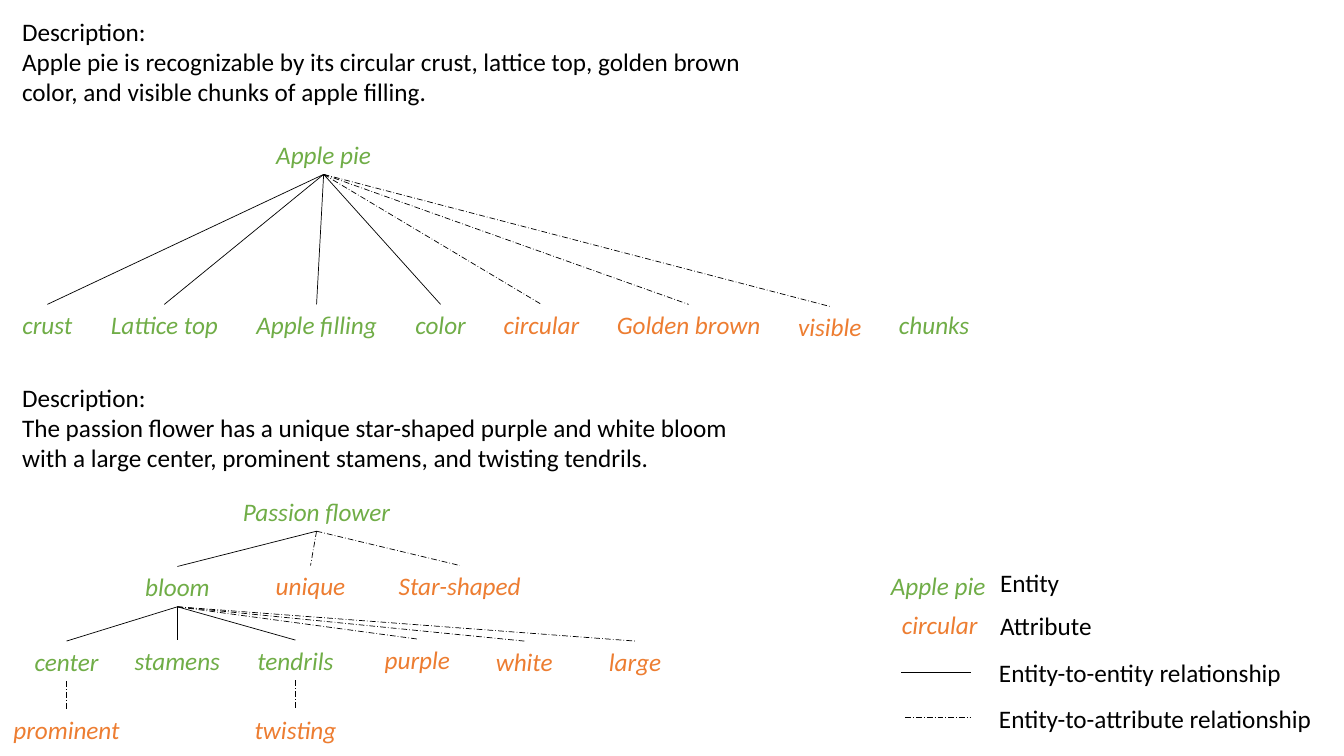
from dataclasses import dataclass

from lxml.etree import SubElement
from pptx import Presentation
from pptx.dml.color import RGBColor
from pptx.enum.dml import MSO_LINE
from pptx.enum.shapes import MSO_CONNECTOR
from pptx.enum.text import MSO_AUTO_SIZE, PP_ALIGN
from pptx.oxml.ns import qn
from pptx.util import Inches, Pt

SLIDE_WIDTH = Inches(13.33)
SLIDE_HEIGHT = Inches(7.5)
COLUMN = SLIDE_WIDTH / 133.3
ROW = SLIDE_HEIGHT / 75

FONT = "Calibri"
BLACK = "000000"
ENTITY = "70AD47"
ATTRIBUTE = "ED7D31"
LABEL_ROWS = 4


@dataclass
class Node:
    text: str
    color: str
    centre: float
    top: float
    width: float
    children: tuple = ()


APPLE_PIE = Node("Apple pie", ENTITY, 32.1, 13.3, 11.7, (
    Node("crust", ENTITY, 4.7, 30.2, 7),
    Node("Lattice top", ENTITY, 16.3, 30.2, 12.9),
    Node("Apple filling", ENTITY, 31.4, 30.2, 14.1),
    Node("color", ENTITY, 43.7, 30.2, 7.1),
    Node("circular", ATTRIBUTE, 53.7, 30.2, 9.6),
    Node("Golden brown", ATTRIBUTE, 68.3, 30.2, 16.4),
    Node("visible", ATTRIBUTE, 82.3, 30.4, 8.4),
))

PASSION_FLOWER = Node("Passion flower", ENTITY, 31.4, 48.7, 16.8, (
    Node("bloom", ENTITY, 17.6, 56.2, 8.5, (
        Node("center", ENTITY, 6.6, 63.6, 8.4, (
            Node("prominent", ATTRIBUTE, 6.6, 70.4, 12.7),
        )),
        Node("stamens", ENTITY, 17.6, 63.5, 10.6),
        Node("tendrils", ENTITY, 29.3, 63.5, 9.6, (
            Node("twisting", ATTRIBUTE, 29.3, 70.4, 10.2),
        )),
        Node("purple", ATTRIBUTE, 41.4, 63.4, 8.6),
        Node("white", ATTRIBUTE, 52, 63.6, 7.7),
        Node("large", ATTRIBUTE, 63, 63.6, 7.3),
    )),
    Node("unique", ATTRIBUTE, 30.8, 56.1, 9),
    Node("Star-shaped", ATTRIBUTE, 45.6, 56.1, 14.3),
))

LOOSE_LABELS = (
    Node("chunks", ENTITY, 92.65, 30.2, 9.1),
    Node("Apple pie", ENTITY, 93.05, 56.1, 11.7),
    Node("circular", ATTRIBUTE, 93.2, 60, 9.6),
)

LEGEND_TEXTS = (
    ("Entity", 98.2, 55.8, 8),
    ("Attribute", 98.2, 60.1, 11.3),
    ("Entity-to-entity relationship", 98.1, 64.7, 30.4),
    ("Entity-to-attribute relationship", 98.1, 69.3, 33.4),
)

DESCRIPTIONS = (
    (1.1, "Apple pie is recognizable by its circular crust, lattice top, "
          "golden brown color, and visible chunks of apple filling."),
    (37.4, "The passion flower has a unique star-shaped purple and white bloom "
           "with a large center, prominent stamens, and twisting tendrils."),
)


def across(columns):
    return round(columns * COLUMN)


def down(rows):
    return round(rows * ROW)


def rgb(color):
    return RGBColor.from_string(color)


def add_text(slide, text, left, top, width, height=LABEL_ROWS, color=BLACK,
             italic=False, align=PP_ALIGN.LEFT, wrap=False):
    box = slide.shapes.add_textbox(across(left), down(top), across(width), down(height))
    frame = box.text_frame
    frame.text = text
    frame.word_wrap = wrap
    frame.auto_size = MSO_AUTO_SIZE.SHAPE_TO_FIT_TEXT
    for paragraph in frame.paragraphs:
        paragraph.alignment = align
        font = paragraph.runs[0].font
        font.name = FONT
        font.size = Pt(18)
        font.italic = italic
        font.color.rgb = rgb(color)


def add_label(slide, node):
    add_text(slide, node.text, node.centre - node.width / 2, node.top, node.width,
             color=node.color, italic=True, align=PP_ALIGN.CENTER)


def add_relationship(slide, start, end, kind):
    line = slide.shapes.add_connector(
        MSO_CONNECTOR.STRAIGHT, across(start[0]), down(start[1]), across(end[0]), down(end[1]))
    line.line.color.rgb = rgb(BLACK)
    line.line.width = Pt(0.5)
    if kind == ATTRIBUTE:
        line.line.dash_style = MSO_LINE.LONG_DASH_DOT
    SubElement(line._element.spPr, qn("a:effectLst"))


def add_tree(slide, node):
    add_label(slide, node)
    for child in node.children:
        add_relationship(slide, (node.centre, node.top + LABEL_ROWS),
                         (child.centre, child.top), child.color)
        add_tree(slide, child)


def main():
    presentation = Presentation()
    presentation.slide_width = SLIDE_WIDTH
    presentation.slide_height = SLIDE_HEIGHT
    slide = presentation.slides.add_slide(presentation.slide_layouts[6])

    for top, sentence in DESCRIPTIONS:
        add_text(slide, f"Description:\n{sentence}", 1.2, top, 74.9, 10.1, wrap=True)
    for tree in (APPLE_PIE, PASSION_FLOWER):
        add_tree(slide, tree)
    for label in LOOSE_LABELS:
        add_label(slide, label)
    for text, left, top, width in LEGEND_TEXTS:
        add_text(slide, text, left, top, width)
    add_relationship(slide, (89.4, 66.7), (96.3, 66.7), ENTITY)
    add_relationship(slide, (89.8, 71.2), (96.3, 71.2), ATTRIBUTE)

    presentation.save("out.pptx")


if __name__ == "__main__":
    main()
